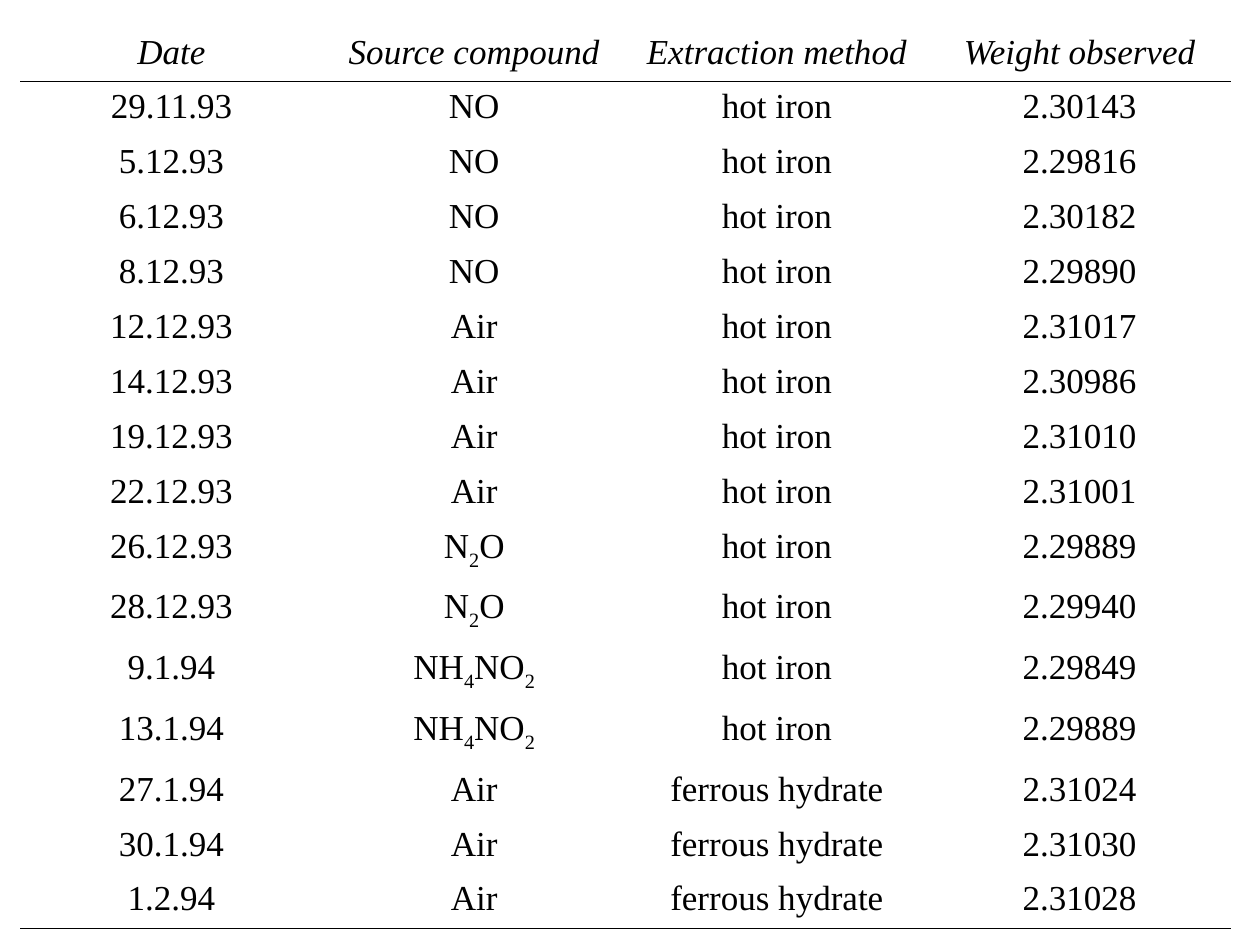
from itertools import groupby

from lxml import etree
from pptx import Presentation
from pptx.dml.color import RGBColor
from pptx.enum.text import PP_ALIGN
from pptx.oxml.ns import qn
from pptx.util import Inches, Pt

CENTER = PP_ALIGN.CENTER
FONT, SIZE, INK = "Times New Roman", 20, "000000"
LEFT, TOP, WIDTH = 0.16, 0.21, 9.61
PLAIN, TALL = 31.4, 34.7
RULE = 0.96

HEADS = ["Date", "Source compound", "Extraction method", "Weight observed"]
HOT, FERROUS = "hot iron", "ferrous hydrate"
ROWS = [
    ("29.11.93", "NO", HOT, "2.30143"),
    ("5.12.93", "NO", HOT, "2.29816"),
    ("6.12.93", "NO", HOT, "2.30182"),
    ("8.12.93", "NO", HOT, "2.29890"),
    ("12.12.93", "Air", HOT, "2.31017"),
    ("14.12.93", "Air", HOT, "2.30986"),
    ("19.12.93", "Air", HOT, "2.31010"),
    ("22.12.93", "Air", HOT, "2.31001"),
    ("26.12.93", "N2O", HOT, "2.29889"),
    ("28.12.93", "N2O", HOT, "2.29940"),
    ("9.1.94", "NH4NO2", HOT, "2.29849"),
    ("13.1.94", "NH4NO2", HOT, "2.29889"),
    ("27.1.94", "Air", FERROUS, "2.31024"),
    ("30.1.94", "Air", FERROUS, "2.31030"),
    ("1.2.94", "Air", FERROUS, "2.31028"),
]


def color(code):
    return RGBColor.from_string(code)


def has_sub(text):
    return any(map(str.isdigit, text))


def set_edges(cell, ruled):
    props = cell._tc.get_or_add_tcPr()
    for side in "LRTB":
        line = etree.SubElement(props, qn(f"a:ln{side}"))
        if side in ruled:
            line.set("w", str(Pt(RULE)))
            fill = etree.SubElement(line, qn("a:solidFill"))
            etree.SubElement(fill, qn("a:srgbClr")).set("val", INK)
        else:
            etree.SubElement(line, qn("a:noFill"))
    cell.fill.background()


def write(cell, text, head, formula):
    para = cell.text_frame.paragraphs[0]
    para.alignment = CENTER
    parts = [text]
    if formula:
        parts = ["".join(group) for _, group in groupby(text, str.isdigit)]
    for part in parts:
        run = para.add_run()
        run.text = part
        font = run.font
        font.name, font.size = FONT, Pt(SIZE)
        font.bold, font.italic = False, head
        font.color.rgb = color(INK)
        if formula and part.isdigit():
            run._r.get_or_add_rPr().set("baseline", "-25000")


def main():
    deck = Presentation()
    deck.slide_width, deck.slide_height = Inches(10), Inches(7.5)
    slide = deck.slides.add_slide(deck.slide_layouts[6])

    lines = [HEADS] + ROWS
    highs = [Pt(TALL if has_sub(line[1]) else PLAIN) for line in lines]
    table = slide.shapes.add_table(
        len(lines), len(HEADS),
        Inches(LEFT), Inches(TOP), Inches(WIDTH), sum(highs),
    ).table
    table.first_row = table.horz_banding = False

    edges = {0: "B", 1: "T", len(lines) - 1: "B"}
    for r, line in enumerate(lines):
        table.rows[r].height = highs[r]
        for c, text in enumerate(line):
            cell = table.cell(r, c)
            set_edges(cell, edges.get(r, ""))
            write(cell, text, r == 0, c == 1)

    deck.save("out.pptx")


if __name__ == "__main__":
    main()
